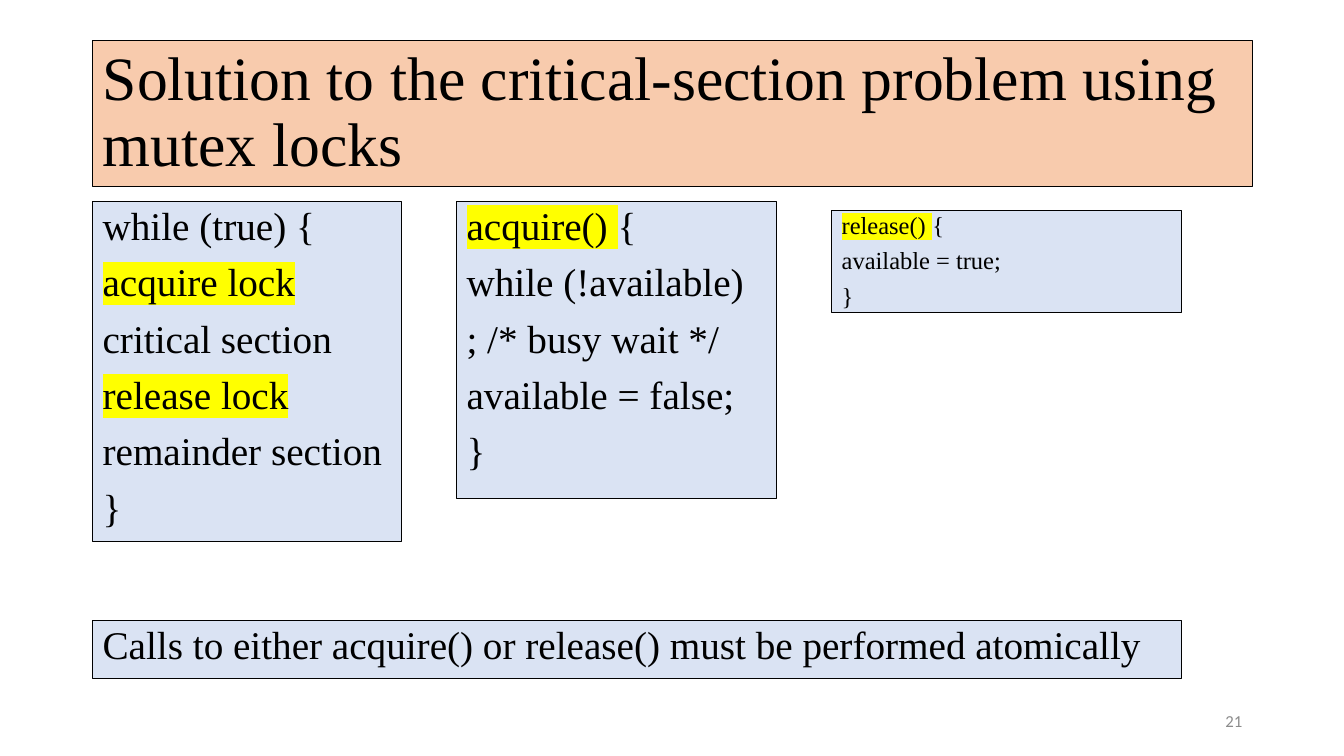
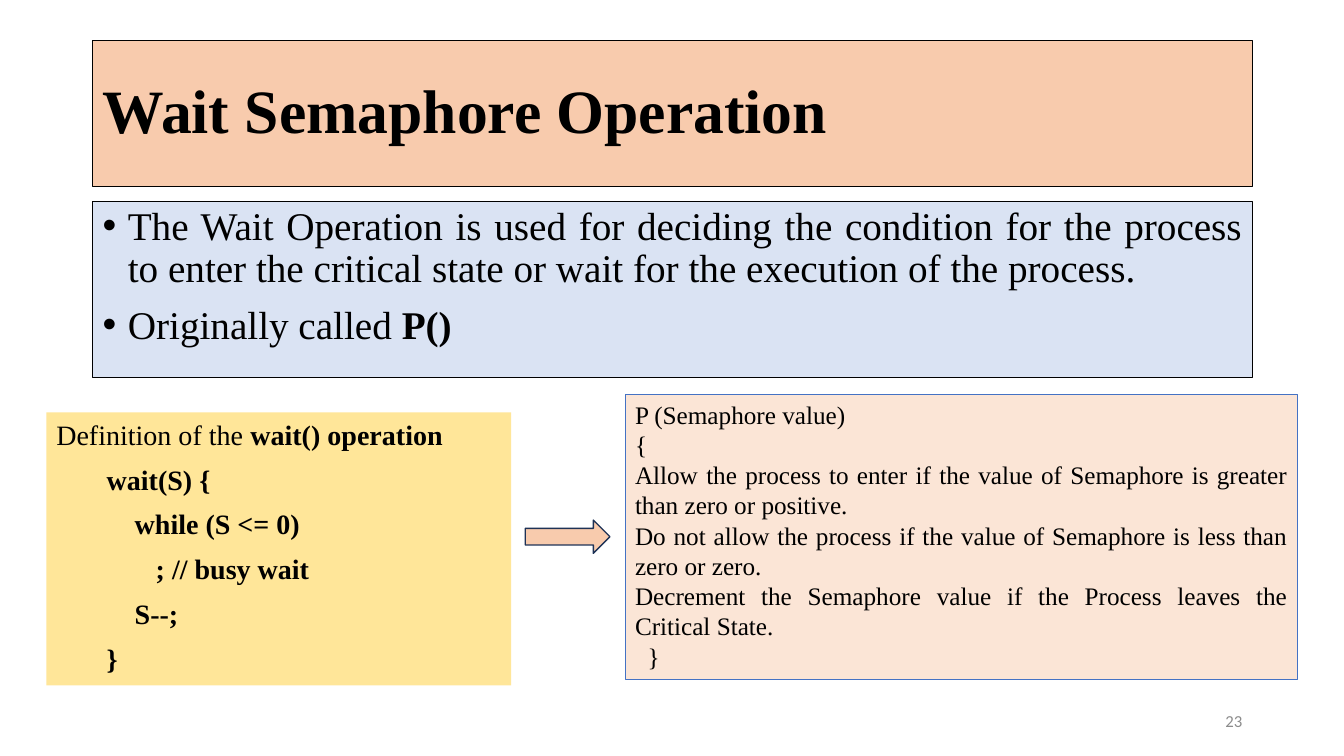
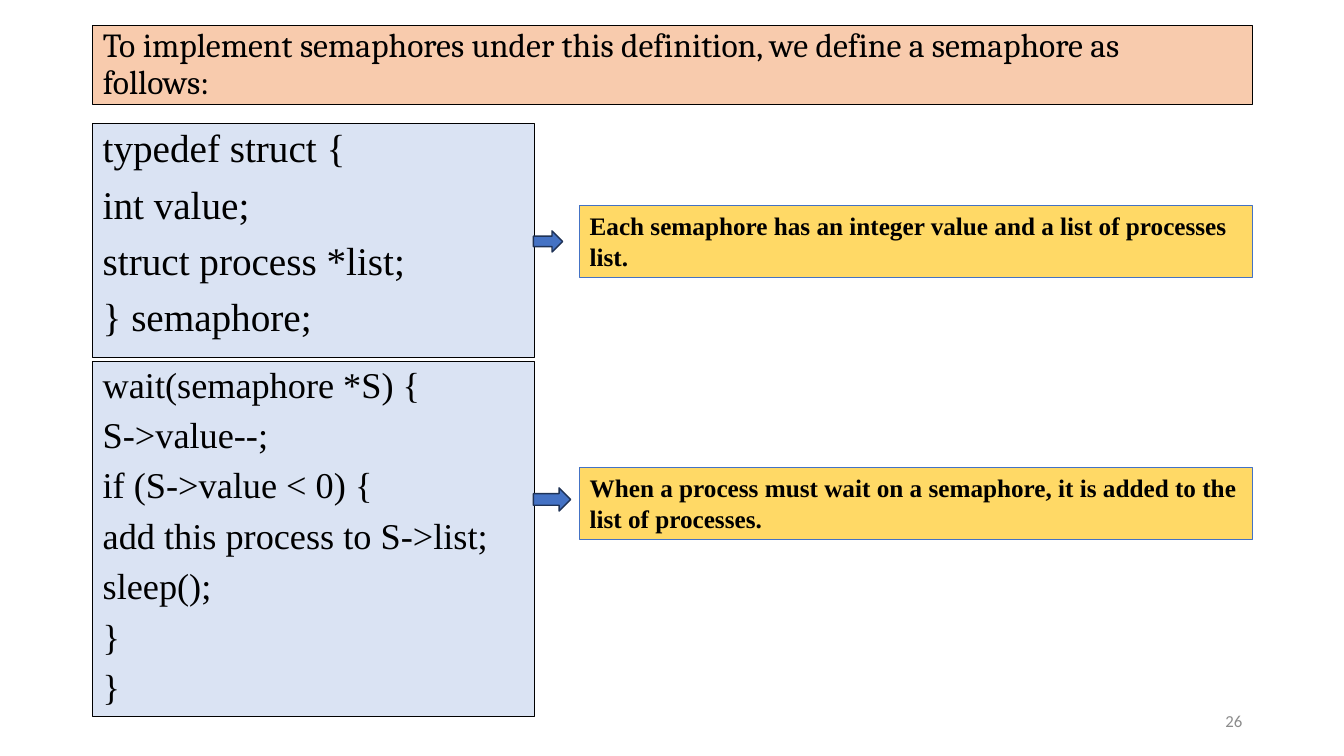
from dataclasses import dataclass

from lxml.etree import SubElement
from pptx import Presentation
from pptx.dml.color import RGBColor
from pptx.enum.shapes import MSO_SHAPE
from pptx.enum.text import MSO_ANCHOR, MSO_AUTO_SIZE, PP_ALIGN
from pptx.oxml.ns import qn
from pptx.util import Inches, Pt


@dataclass(frozen=True)
class Theme:
    serif: str = "Times New Roman"
    title_serif: str = "Cambria"
    sans: str = "Calibri"
    ink: str = "000000"
    grey: str = "8C8C8C"
    peach: str = "F8CBAD"
    pale_peach: str = "FBE5D6"
    pale_blue: str = "DAE3F3"
    blue: str = "4472C4"
    navy: str = "1E3256"
    cream: str = "FFE699"
    gold: str = "FFD966"
    marker: str = "FFFF00"
    title_size: float = 44
    subtitle_size: float = 24
    body_size: float = 28
    wait_size: float = 25.9
    definition_size: float = 20
    note_size: float = 18
    release_size: float = 17.5
    number_size: float = 12


THEME = Theme()
LEFT, WIDTH = 0.92, 11.5
RIGHT = LEFT + WIDTH
NOTE_WIDTH = 6.67
NOTE_LEFT = RIGHT - NOTE_WIDTH
TITLE_AREA = (LEFT, 0.4, WIDTH, 1.45)

STYLES = {
    "body": dict(size=THEME.body_size, spacing=0.9, before=10,
                 fill=THEME.pale_blue, line=THEME.ink),
    "release": dict(size=THEME.release_size, spacing=0.8, before=8.5,
                    fill=THEME.pale_blue, line=THEME.ink),
    "wait": dict(size=THEME.wait_size, spacing=0.9, before=8,
                 fill=THEME.pale_blue, line=THEME.ink),
    "bullets": dict(size=THEME.body_size, spacing=0.9, before=10, bullet=True,
                    align=PP_ALIGN.JUSTIFY, fill=THEME.pale_blue, line=THEME.ink),
    "definition": dict(size=THEME.definition_size, before=8, code_indent=0.5,
                       fill=THEME.cream),
    "steps": dict(size=THEME.note_size, align=PP_ALIGN.JUSTIFY,
                  fill=THEME.pale_peach, line=THEME.blue),
    "note": dict(size=THEME.note_size, fill=THEME.gold, line=THEME.blue),
}

SLIDES = [
    dict(
        number=21,
        title="Solution to the critical-section problem using mutex locks",
        boxes=[
            ("body", (LEFT, 2, 3.06, 3.37), [
                "while (true) {",
                [("acquire lock", "mark")],
                "critical section",
                [("release lock", "mark")],
                "remainder section",
                "}",
            ]),
            ("body", (4.53, 2, 3.17, 2.95), [
                [("acquire() ", "mark"), ("{", "")],
                "while (!available)",
                "; /* busy wait */",
                "available = false;",
                "}",
            ]),
            ("release", (8.25, 2.09, 3.47, 1.01), [
                [("release() ", "mark"), ("{", "")],
                "available = true;",
                "}",
            ]),
            ("body", (LEFT, 6.16, 10.8, 0.57), [
                "Calls to either acquire() or release() must be performed atomically",
            ]),
        ],
    ),
    dict(
        number=23,
        title="Wait Semaphore Operation",
        title_bold=True,
        boxes=[
            ("bullets", (LEFT, 2, WIDTH, 1.75), [
                "The Wait Operation is used for deciding the condition for the process "
                "to enter the critical state or wait for the execution of the process.",
                [("Originally called ", ""), ("P()", "bold")],
            ]),
            ("definition", (0.46, 4.09, 4.61, 2.71), [
                [("Definition of the ", ""), ("wait() operation", "bold")],
                [("wait(S) {", "bold")],
                [("    while (S <= 0)", "bold")],
                [("       ; // busy wait", "bold")],
                [("    S--;", "bold")],
                [("}", "bold")],
            ]),
            ("steps", (6.2, 3.91, NOTE_WIDTH, 2.83), [
                "P (Semaphore value)",
                "{",
                "Allow the process to enter if the value of Semaphore is greater "
                "than zero or positive.",
                "Do not allow the process if the value of Semaphore is less than "
                "zero or zero.",
                "Decrement the Semaphore value if the Process leaves the Critical State.",
                "  }",
            ]),
        ],
        arrows=[((5.21, 5.16, 0.84, 0.33), THEME.peach)],
    ),
    dict(
        number=26,
        title="To implement semaphores under this definition, "
              "we define a semaphore as\vfollows:",
        title_area=(LEFT, 0.25, WIDTH, 0.79),
        title_font=THEME.title_serif,
        title_size=THEME.subtitle_size,
        boxes=[
            ("body", (LEFT, 1.23, 4.38, 2.32), [
                "typedef struct {",
                "int value;",
                "struct process *list;",
                "} semaphore;",
            ]),
            ("note", (NOTE_LEFT, 2.04, NOTE_WIDTH, 0.71), [
                [("Each semaphore has an integer value and a list of processes list.",
                  "bold")],
            ]),
            ("wait", (LEFT, 3.59, 4.38, 3.52), [
                "wait(semaphore *S) {",
                "S->value--;",
                "if (S->value < 0) {",
                "add this process to S->list;",
                "sleep();",
                "}",
                "}",
            ]),
            ("note", (NOTE_LEFT, 4.64, NOTE_WIDTH, 0.71), [
                [("When a process must wait on a semaphore, it is added to the "
                  "list of processes.", "bold")],
            ]),
        ],
        arrows=[
            ((5.29, 2.29, 0.29, 0.21), THEME.blue),
            ((5.29, 4.84, 0.37, 0.23), THEME.blue),
        ],
    ),
]


def place(shape, area):
    shape.left, shape.top, shape.width, shape.height = map(Inches, area)


def paint(shape, fill, line=None, line_width=0.75):
    shape.fill.solid()
    shape.fill.fore_color.rgb = RGBColor.from_string(fill)
    if line:
        shape.line.color.rgb = RGBColor.from_string(line)
        shape.line.width = Pt(line_width)
    else:
        shape.line.fill.background()


def format_run(run, size, font=THEME.serif, color=THEME.ink, bold=False):
    run.font.size = Pt(size)
    run.font.name = font
    run.font.bold = bold
    run.font.color.rgb = RGBColor.from_string(color)


def highlight(run):
    properties = run.font._element
    mark = SubElement(properties, qn("a:highlight"))
    SubElement(mark, qn("a:srgbClr")).set("val", THEME.marker)
    properties.find(qn("a:solidFill")).addnext(mark)


def prepare_frame(shape, anchor):
    frame = shape.text_frame
    frame.word_wrap = True
    frame.auto_size = MSO_AUTO_SIZE.NONE
    frame.vertical_anchor = anchor
    return frame


def add_title(page, content):
    title = page.shapes.title
    place(title, content.get("title_area", TITLE_AREA))
    paint(title, THEME.peach, THEME.ink)
    frame = prepare_frame(title, MSO_ANCHOR.MIDDLE)
    frame.text = content["title"]
    para = frame.paragraphs[0]
    para.alignment = PP_ALIGN.LEFT
    para.line_spacing = 0.9
    for run in para.runs:
        format_run(run, content.get("title_size", THEME.title_size),
                   content.get("title_font", THEME.serif),
                   bold=content.get("title_bold", False))


def add_shape(page, kind, area, fill, line, line_width=0.75):
    shape = page.shapes.add_shape(kind, *map(Inches, area))
    shape.shadow.inherit = False
    paint(shape, fill, line, line_width)
    return shape


def add_box(page, style_name, area, lines):
    style = STYLES[style_name]
    box = add_shape(page, MSO_SHAPE.RECTANGLE, area, style["fill"], style.get("line"))
    frame = prepare_frame(box, MSO_ANCHOR.TOP)
    for index, line in enumerate(lines):
        para = frame.add_paragraph() if index else frame.paragraphs[0]
        para.alignment = style.get("align", PP_ALIGN.LEFT)
        para.line_spacing = style.get("spacing", 1.0)
        para.space_before = Pt(style.get("before", 0) if index else 0)
        properties = para._p.get_or_add_pPr()
        if style.get("bullet"):
            properties.set("marL", str(Inches(0.25)))
            properties.set("indent", str(Inches(-0.25)))
            SubElement(properties, qn("a:buFont")).set("typeface", "Arial")
            SubElement(properties, qn("a:buChar")).set("char", "•")
        elif index and "code_indent" in style:
            para.level = 1
            properties.set("marL", str(Inches(style["code_indent"])))
            properties.set("indent", "0")
        for text, emphasis in [(line, "")] if isinstance(line, str) else line:
            span = para.add_run()
            span.text = text
            format_run(span, style["size"], bold=emphasis == "bold")
            if emphasis == "mark":
                highlight(span)


def add_number(page, number):
    box = page.shapes.add_textbox(*map(Inches, (RIGHT - 3, 6.95, 3, 0.4)))
    frame = prepare_frame(box, MSO_ANCHOR.MIDDLE)
    frame.text = str(number)
    para = frame.paragraphs[0]
    para.alignment = PP_ALIGN.RIGHT
    format_run(para.runs[0], THEME.number_size, THEME.sans, THEME.grey)


def main():
    deck = Presentation()
    deck.slide_width, deck.slide_height = Inches(13.33), Inches(7.5)
    title_only = deck.slide_layouts[5]
    for content in SLIDES:
        page = deck.slides.add_slide(title_only)
        add_title(page, content)
        for box in content["boxes"]:
            add_box(page, *box)
        for area, fill in content.get("arrows", []):
            add_shape(page, MSO_SHAPE.RIGHT_ARROW, area, fill, THEME.navy, 1)
        add_number(page, content["number"])
    deck.save("out.pptx")


if __name__ == "__main__":
    main()
